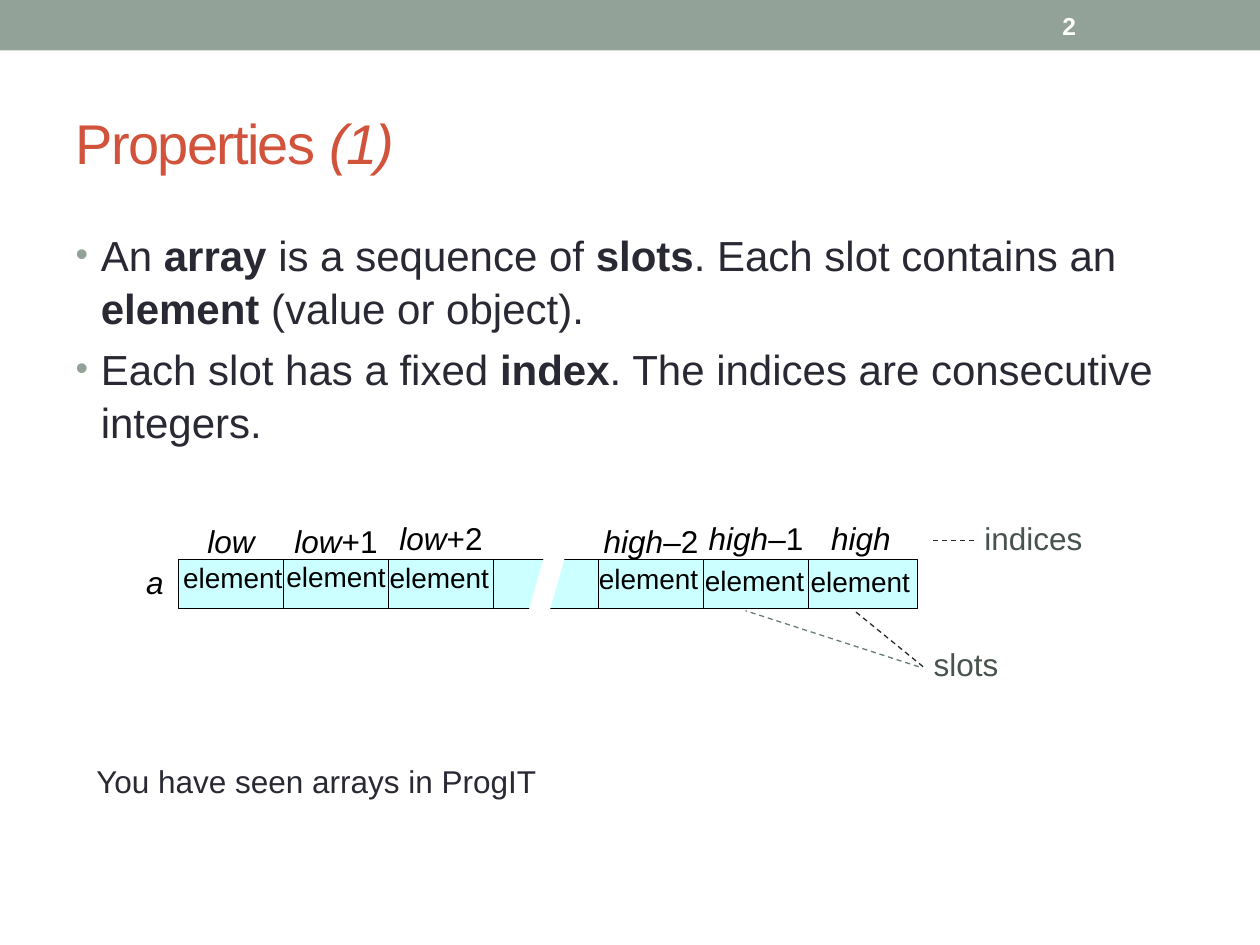
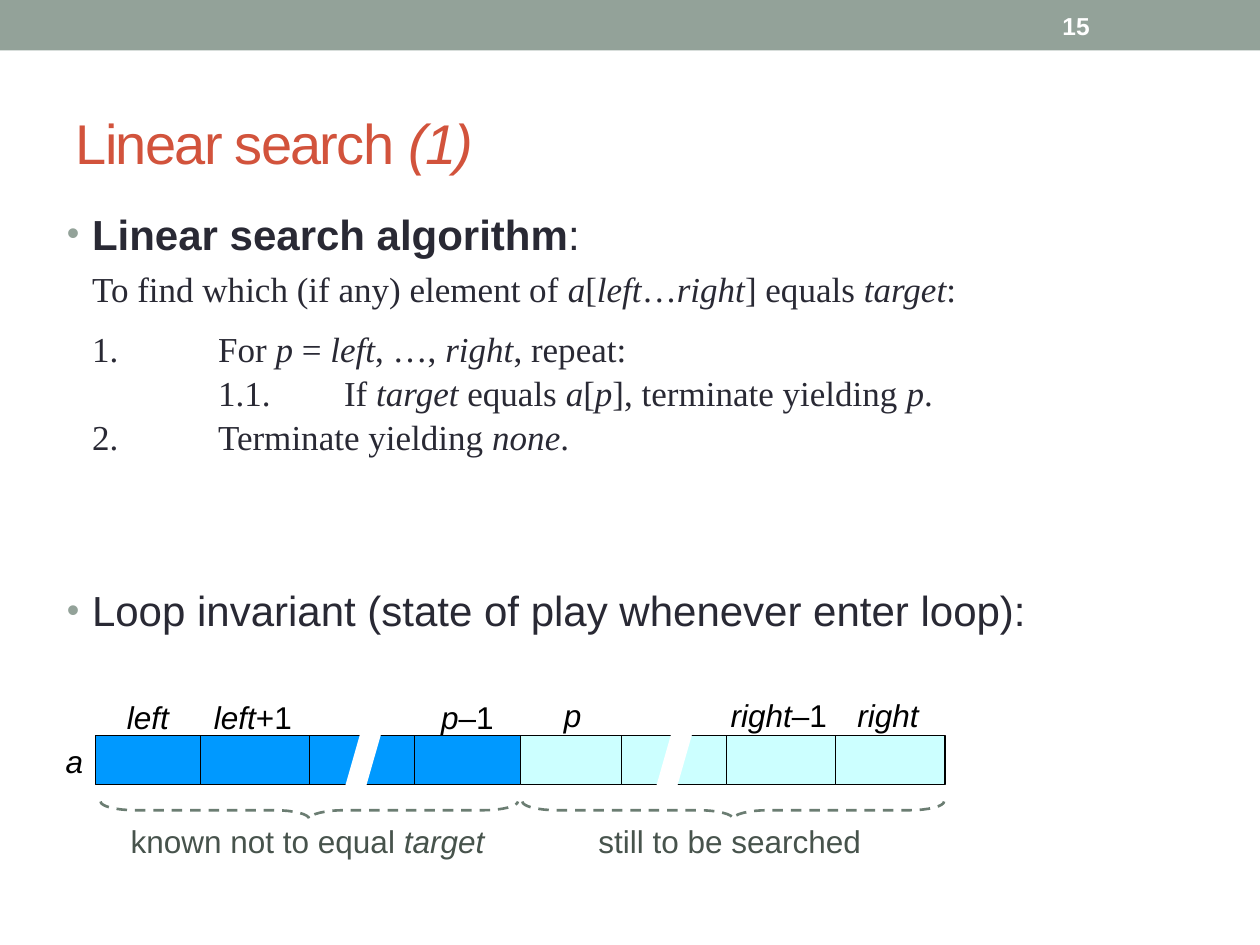
"""Build two slides on arrays and linear search."""
from math import cos, pi, sin

from lxml.etree import SubElement
from pptx import Presentation
from pptx.dml.color import RGBColor as Rgb
from pptx.enum.dml import MSO_LINE as Dash
from pptx.enum.shapes import MSO_CONNECTOR as Connector, MSO_SHAPE as Shape
from pptx.enum.text import MSO_ANCHOR as Anchor, MSO_AUTO_SIZE as AutoSize, PP_ALIGN as Align
from pptx.oxml.ns import qn
from pptx.util import Pt

COLORS = {
    "band": "93A299", "title": "D2533C", "text": "292934", "note": "47534C",
    "brace": "6B7D72", "black": "000000", "white": "FFFFFF",
    "cell": "CCFFFF", "searched": "0099FF",
}
SANS, SERIF = "Arial", "Times New Roman"
CELL_WIDTH, CELL_HEIGHT, LABEL_WIDTH = 62.5, 28, 60
HIGH, LOW = -23, -21.6


def color(name):
    return Rgb.from_string(COLORS[name])


def style_font(font, size, tint, face=SANS):
    font.size, font.name = Pt(size), face
    font.color.rgb = color(tint)


def add_spans(para, text, emphasis="italic"):
    for number, piece in enumerate(text.split("*")):
        if piece:
            span = para.add_run()
            span.text = piece
            if number % 2:
                setattr(span.font, emphasis, True)


def set_margins(frame, margin):
    frame.margin_left = frame.margin_right = Pt(margin)
    frame.margin_top = frame.margin_bottom = Pt(margin)


def place(shape, left, top, width, height):
    shape.left, shape.top, shape.width, shape.height = map(Pt, (left, top, width, height))


def style_shape(shape, fill=None, line=None, weight=0.75, dashed=False):
    shape.shadow.inherit = False
    if fill:
        shape.fill.solid()
        shape.fill.fore_color.rgb = color(fill)
    else:
        shape.fill.background()
    if line:
        style_line(shape.line, line, weight, dashed)
    else:
        shape.line.fill.background()


def style_line(line, tint, weight, dashed):
    line.color.rgb = color(tint)
    line.width = Pt(weight)
    if dashed:
        line.dash_style = Dash.DASH


def add_rect(slide, left, top, width, height, fill, line=None):
    rect = slide.shapes.add_shape(Shape.RECTANGLE, *map(Pt, (left, top, width, height)))
    style_shape(rect, fill, line)


def add_text(slide, text, left, top, width, height, size=18, tint="black",
             align=Align.LEFT, wrap=True, padded=False):
    box = slide.shapes.add_textbox(*map(Pt, (left, top, width, height)))
    frame = box.text_frame
    frame.word_wrap = wrap
    if not padded:
        set_margins(frame, 0)
    para = frame.paragraphs[0]
    para.alignment = align
    add_spans(para, text)
    style_font(para.font, size, tint)
    return box


def add_label(slide, text, left, top, width=LABEL_WIDTH, size=18, tint="black"):
    add_text(slide, text, left, top, width, size * 1.2, size, tint, Align.CENTER)


def add_outline(slide, points, closed=False, **style):
    points = [(Pt(x), Pt(y)) for x, y in points]
    builder = slide.shapes.build_freeform(*points[0], scale=1.0)
    builder.add_line_segments(points[1:], close=closed)
    style_shape(builder.convert_to_shape(), **style)


def add_gap(slide, left, array_top):
    top, bottom = array_top - 5.4, array_top + 36.6
    add_outline(slide, [(left + 12, top), (left + 24, top), (left + 12, bottom), (left, bottom)],
                closed=True, fill="white")


def add_brace(slide, left, right, top, radius=20, depth=5):
    middle = (left + right) / 2
    angles = [step * pi / 16 for step in range(9)]
    end = [(left + radius * (1 - cos(a)), top + depth * sin(a)) for a in angles]
    tip = [(middle - radius * (1 - sin(a)), top + depth * (2 - cos(a))) for a in angles]
    half = end + tip
    mirrored = [(left + right - x, y) for x, y in reversed(half[:-1])]
    add_outline(slide, half + mirrored, line="brace", weight=1.5, dashed=True)


def add_callout(slide, text, left, top, height, adjustments):
    callout = slide.shapes.add_shape(Shape.LINE_CALLOUT_1_NO_BORDER,
                                     *map(Pt, (left, top, 60, height)))
    for number, value in enumerate(adjustments):
        callout.adjustments[number] = value
    style_shape(callout, line="text", dashed=True)
    frame = callout.text_frame
    set_margins(frame, 0)
    frame.vertical_anchor = Anchor.TOP
    para = frame.paragraphs[0]
    para.alignment, para.line_spacing = Align.LEFT, Pt(18)
    add_spans(para, text)
    style_font(para.font, 18, "note")


def add_dashed_line(slide, *ends):
    line = slide.shapes.add_connector(Connector.STRAIGHT, *map(Pt, ends))
    style_line(line.line, "brace", 0.75, True)
    SubElement(line._element.spPr, qn("a:effectLst"))


def set_bullet(properties, shown):
    if not shown:
        SubElement(properties, qn("a:buNone"))
        return
    tint = SubElement(properties, qn("a:buClr"))
    SubElement(tint, qn("a:srgbClr")).set("val", COLORS["band"])
    SubElement(properties, qn("a:buSzPct")).set("val", "85000")
    SubElement(properties, qn("a:buFont")).set("typeface", SANS)
    SubElement(properties, qn("a:buChar")).set("char", "•")


def add_body_para(frame, text, before=0, margin=14.4, hanging=14.4, bullet=True,
                  emphasis="bold"):
    first = not frame.paragraphs[0].runs
    para = frame.paragraphs[0] if first else frame.add_paragraph()
    properties = para._p.get_or_add_pPr()
    properties.set("marL", str(Pt(margin)))
    properties.set("indent", str(-Pt(hanging)))
    set_bullet(properties, bullet)
    para.space_before, para.line_spacing = Pt(before), 1.05
    add_spans(para, text, emphasis)
    style_font(para.font, 24 if bullet else 20, "text", SANS if bullet else SERIF)


def add_step(frame, text, before=0, margin=14.4, hanging=0):
    add_body_para(frame, text, before, margin, hanging, bullet=False, emphasis="italic")


def add_page(deck, title, number, body_place):
    page = deck.slides.add_slide(deck.slide_layouts[1])
    add_rect(page, 0, 0, 720, 28.8, "band")
    heading, body = page.placeholders
    place(heading, 36, 42, 648, 78)
    heading.text_frame.auto_size = AutoSize.NONE
    heading.text_frame.vertical_anchor = Anchor.MIDDLE
    para = heading.text_frame.paragraphs[0]
    para.alignment = Align.LEFT
    add_spans(para, title)
    style_font(para.font, 32, "title")
    for span in para.runs:
        span._r.get_or_add_rPr().set("spc", "-100")
    place(body, *body_place)
    body.text_frame.auto_size = AutoSize.NONE
    box = add_text(page, number, 600, 1.5, 84, 26, 14, "white", padded=True)
    box.text_frame.vertical_anchor = Anchor.MIDDLE
    box.text_frame.paragraphs[0].font.bold = True
    return page, body.text_frame


def build_properties(deck):
    page, body = add_page(deck, "Properties *(1)*", "2", (36, 126, 648, 384))
    add_body_para(body, "An *array* is a sequence of *slots*. Each slot contains an "
                        "*element* (value or object).")
    add_body_para(body, "Each slot has a fixed *index*. The indices are consecutive integers.", 4.8)

    top = 319.7
    lefts = [102 + 60 * slot for slot in range(7)]
    for left in lefts:
        add_rect(page, left, top, CELL_WIDTH, CELL_HEIGHT, "cell", "black")
    add_gap(page, 300, top)
    add_text(page, "*a*", 83.5, 321.5, 10, 21.6, wrap=False)
    slots = [
        (0, "*low*", LOW, 1, 0.7), (1, "*low*+1", LOW, 0, 0), (2, "*low*+2", HIGH, -1, 0.7),
        (4, "*high*–2", LOW, -1.4, 1.4), (5, "*high*–1", HIGH, -0.8, 2.2),
        (6, "*high*", HIGH, -0.4, 2.9),
    ]
    for slot, index, rise, shift, drop in slots:
        add_label(page, index, lefts[slot], top + rise)
        add_label(page, "element", lefts[slot] + shift, top + drop, size=16)

    add_callout(page, "indices", 562.5, 300, 16.75, (0.537, -0.101, 0.537, -0.494))
    add_callout(page, "slots", 533.5, 372, 17, (0.529, -0.101, -1.331, -0.748))
    add_dashed_line(page, 525, 381, 426, 349)
    add_text(page, "You have seen arrays in ProgIT", 48, 432, 498, 29, tint="text", padded=True)


def build_linear_search(deck):
    page, body = add_page(deck, "Linear search *(1)*", "15", (31, 114, 600, 378))
    add_body_para(body, "*Linear search algorithm*:")
    add_step(body, "To find which (if any) element of *a*[*left*…*right*] equals *target*:", 4)
    add_step(body, "1.\tFor *p* = *left*, …, *right*, repeat:", 9, 86.4, 72)
    add_step(body, "1.1.\tIf *target* equals *a*[*p*], terminate yielding *p*.", 0, 158.4, 72)
    add_step(body, "2.\tTerminate yielding *none*.", 0, 86.4, 72)
    add_body_para(body, "Loop invariant (state of play whenever enter loop):", 71)

    top = 420.5
    lefts = [54.5, 114.5, 177, 237, 297.25, 355, 415, 477.5]
    for slot, left in enumerate(lefts):
        fill = "searched" if slot < 4 else "cell"
        add_rect(page, left, top, CELL_WIDTH, CELL_HEIGHT, fill, "black")
    for left in (195, 372.75):
        add_gap(page, left, top)
    add_text(page, "*a*", 37.5, 424, 10, 21.6, wrap=False)
    indices = [
        (0, "*left*", LOW), (1, "*left*+1", LOW), (3, "*p*–1", LOW),
        (4, "*p*", HIGH), (6, "*right*–1", HIGH), (7, "*right*", HIGH),
    ]
    for slot, index, rise in indices:
        add_label(page, index, lefts[slot], top + rise)

    add_brace(page, 57.5, 296, 458)
    add_brace(page, 298.5, 539.5, 458)
    add_label(page, "known not to equal *target*", 63, 469.5, 225.5, tint="note")
    add_label(page, "still to be searched", 303, 469.5, 228, tint="note")


def main():
    deck = Presentation()
    deck.slide_width, deck.slide_height = Pt(720), Pt(540)
    build_properties(deck)
    build_linear_search(deck)
    deck.save("out.pptx")


if __name__ == "__main__":
    main()
